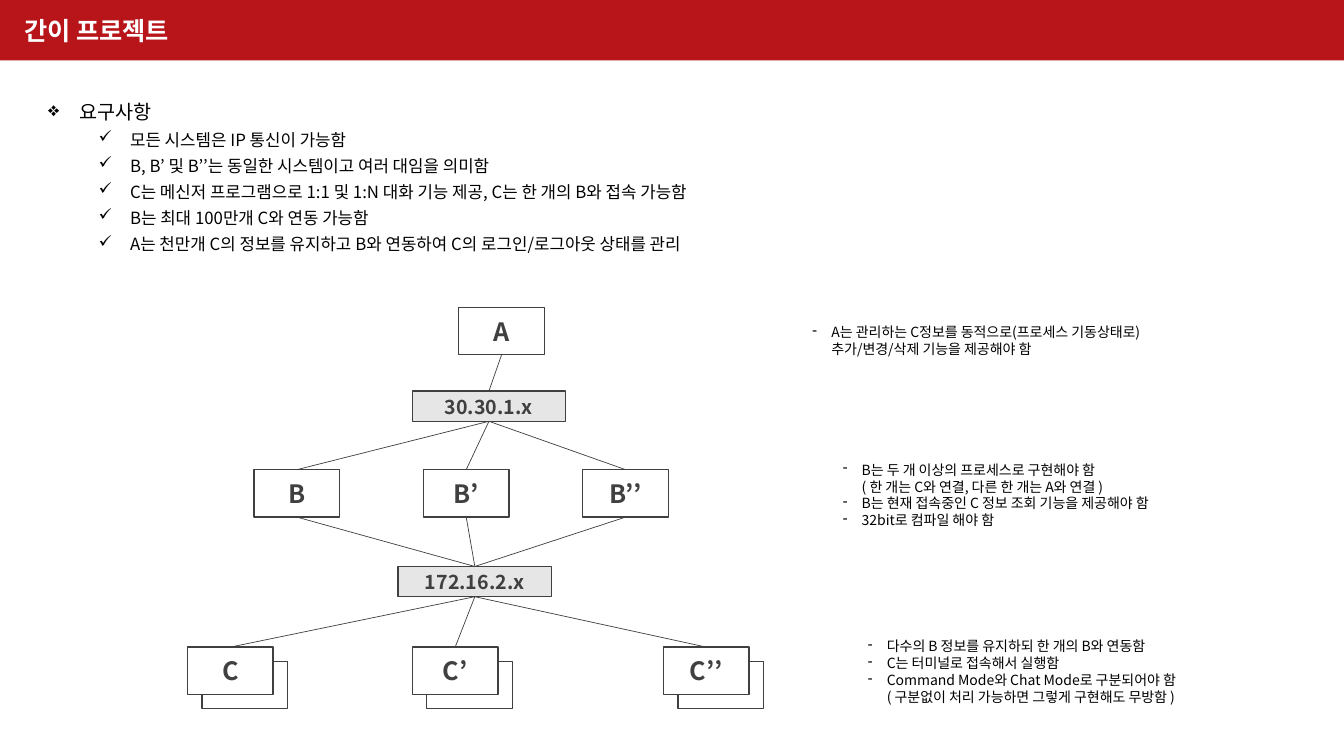
from dataclasses import dataclass
from itertools import product
from lxml.etree import SubElement
from pptx import Presentation
from pptx.dml.color import RGBColor
from pptx.enum.shapes import MSO_CONNECTOR, MSO_SHAPE
from pptx.enum.text import MSO_ANCHOR, PP_ALIGN
from pptx.oxml.ns import qn
from pptx.util import Inches, Pt


@dataclass(frozen=True)
class Theme:
    font: str = "Noto Sans CJK KR"
    banner: RGBColor = RGBColor(0xB8, 0x15, 0x1A)
    white: RGBColor = RGBColor(0xFF, 0xFF, 0xFF)
    black: RGBColor = RGBColor(0, 0, 0)
    ink: RGBColor = RGBColor(0x40, 0x40, 0x40)
    network: RGBColor = RGBColor(0xE7, 0xE6, 0xE6)
    title_size: Pt = Pt(18)
    heading_size: Pt = Pt(14)
    item_size: Pt = Pt(12)
    note_size: Pt = Pt(10)
    box_line: Pt = Pt(1)
    link_line: Pt = Pt(0.5)


theme = Theme()
presentation = Presentation()
presentation.slide_width = Inches(13.33)
presentation.slide_height = Inches(7.5)
column = presentation.slide_width / 100
row = presentation.slide_height / 100
slide = presentation.slides.add_slide(presentation.slide_layouts[6])
shapes = slide.shapes


def write(paragraph, text, size, color, bold=False, bullet=None, indent=0, hanging=0):
    paragraph.text = text
    if bullet:
        properties = paragraph._p.get_or_add_pPr()
        properties.set("marL", str(int(indent * column)))
        properties.set("indent", str(int(-hanging * column)))
        SubElement(properties, qn("a:buChar"), char=bullet)
    font = paragraph.font
    font.name, font.size, font.bold = theme.font, size, bold
    font.color.rgb = color
    SubElement(font._element, qn("a:ea"), typeface=theme.font)


def add_box(left, top, width, height, fill, line=None, text="", size=None):
    box = shapes.add_shape(MSO_SHAPE.RECTANGLE, int(left * column), int(top * row),
                           int(width * column), int(height * row))
    box.shadow.inherit = False
    box.fill.solid()
    box.fill.fore_color.rgb = fill
    if line is None:
        box.line.fill.background()
    else:
        box.line.color.rgb = line
        box.line.width = theme.box_line
    if text:
        box.text_frame.vertical_anchor = MSO_ANCHOR.MIDDLE
        paragraph = box.text_frame.paragraphs[0]
        write(paragraph, text, size, theme.ink, bold=True)
        paragraph.alignment = PP_ALIGN.CENTER
    return box


add_box(0, 0, 100, 8, theme.banner)
title = shapes.add_textbox(int(1.05 * column), int(1.33 * row), int(13.58 * column), int(5.33 * row))
title.text_frame.word_wrap = False
write(title.text_frame.paragraphs[0], "간이 프로젝트", theme.title_size, theme.white, bold=True)

requirements = [
    "모든 시스템은 IP 통신이 가능함",
    "B, B’ 및 B’’는 동일한 시스템이고 여러 대임을 의미함",
    "C는 메신저 프로그램으로 1:1 및 1:N 대화 기능 제공, C는 한 개의 B와 접속 가능함",
    "B는 최대 100만개 C와 연동 가능함",
    "A는 천만개 C의 정보를 유지하고 B와 연동하여 C의 로그인/로그아웃 상태를 관리",
]
requirement_box = shapes.add_textbox(int(2.85 * column), int(11.6 * row), int(94.45 * column), int(22.93 * row))
frame = requirement_box.text_frame
frame.word_wrap = True
write(frame.paragraphs[0], "요구사항", theme.heading_size, theme.black, bullet="❖", indent=2.34, hanging=2.34)
for requirement in requirements:
    paragraph = frame.add_paragraph()
    paragraph.level = 1
    write(paragraph, requirement, theme.item_size, theme.black, bullet="✓", indent=6.09, hanging=2.34)
for paragraph in frame.paragraphs:
    paragraph.line_spacing = 1.3

box_width, box_height = 6.38, 6.27
network_width, network_height = 11.4, 4
stack_x, stack_y = 1.08, 1.87

server = add_box(34.13, 40.67, box_width, box_height, theme.white, theme.ink, "A", theme.title_size)
upper_network = add_box(30.68, 51.73, network_width, network_height, theme.network, theme.ink,
                        "30.30.1.x", theme.heading_size)
relays = [add_box(left, 62.13, box_width, box_height, theme.white, theme.ink, name, theme.title_size)
          for left, name in [(18.9, "B"), (31.5, "B’"), (43.36, "B’’")]]
lower_network = add_box(29.63, 74.93, network_width, network_height, theme.network, theme.ink,
                        "172.16.2.x", theme.heading_size)
clients = []
for left, name in [(13.95, "C"), (30.68, "C’"), (49.36, "C’’")]:
    add_box(left + stack_x, 85.6 + stack_y, box_width, box_height, theme.white, theme.ink)
    clients.append(add_box(left, 85.6, box_width, box_height, theme.white, theme.ink, name, theme.title_size))

tiers = [[server], [upper_network], relays, [lower_network], clients]
for upper_tier, lower_tier in zip(tiers, tiers[1:]):
    for upper, lower in product(upper_tier, lower_tier):
        link = shapes.add_connector(MSO_CONNECTOR.STRAIGHT, 0, 0, 0, 0)
        link.begin_connect(upper, 2)
        link.end_connect(lower, 0)
        link.line.color.rgb = theme.ink
        link.line.width = theme.link_line
        SubElement(link._element.spPr, qn("a:effectLst"))

notes = [
    (59.71, 41.2, 30.08, 7.6, [
        "A는 관리하는 C정보를 동적으로(프로세스 기동상태로) 추가/변경/삭제 기능을 제공해야 함",
    ]),
    (61.97, 60, 31.66, 10.93, [
        "B는 두 개 이상의 프로세스로 구현해야 함\v( 한 개는 C와 연결, 다른 한 개는 A와 연결 )",
        "B는 현재 접속중인 C 정보 조회 기능을 제공해야 함",
        "32bit로 컴파일 해야 함",
    ]),
    (63.84, 84.13, 31.58, 9.33, [
        "다수의 B 정보를 유지하되 한 개의 B와 연동함",
        "C는 터미널로 접속해서 실행함",
        "Command Mode와 Chat Mode로 구분되어야 함\v( 구분없이 처리 가능하면 그렇게 구현해도 무방함 )",
    ]),
]
for left, top, width, height, lines in notes:
    note = shapes.add_textbox(int(left * column), int(top * row), int(width * column), int(height * row))
    frame = note.text_frame
    frame.word_wrap = True
    frame.vertical_anchor = MSO_ANCHOR.MIDDLE
    for number, text in enumerate(lines):
        paragraph = frame.add_paragraph() if number else frame.paragraphs[0]
        write(paragraph, text, theme.note_size, theme.black, bullet="-", indent=1.41, hanging=1.41)

presentation.save("out.pptx")
